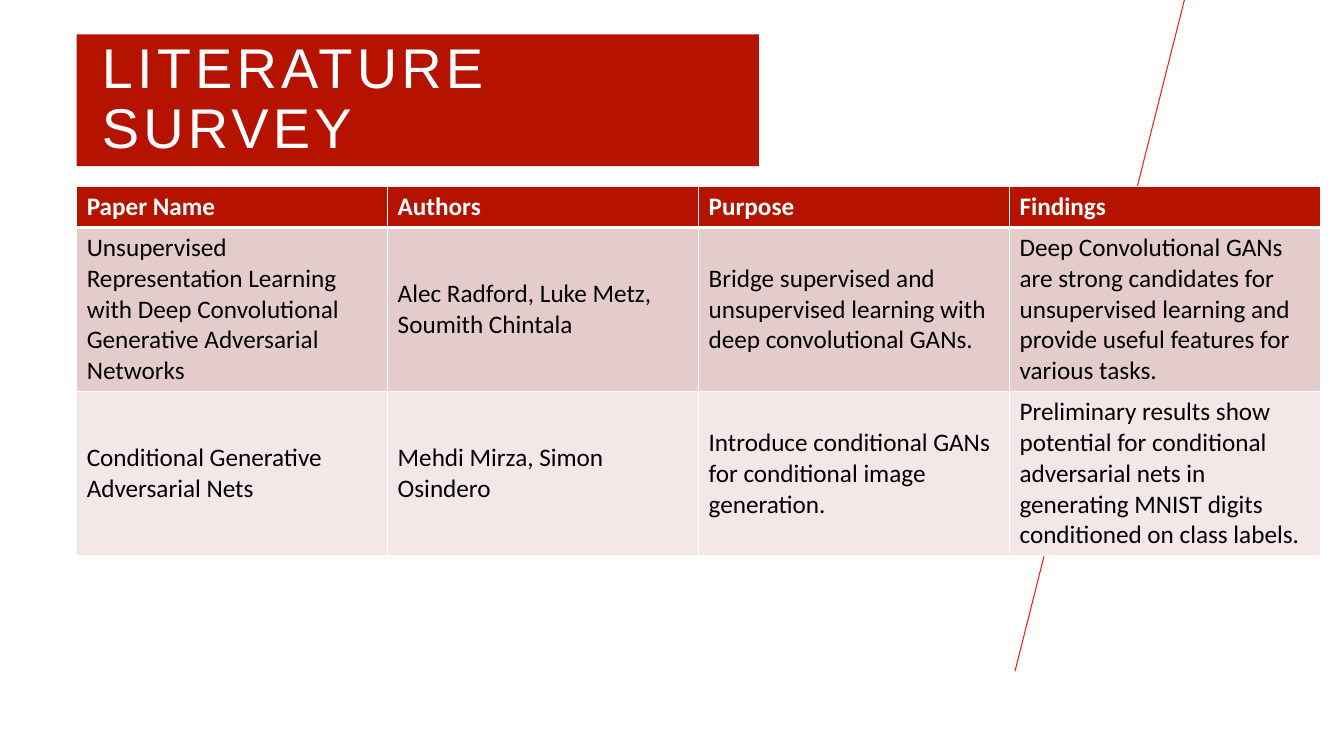
"""Builds the literature survey slide with its table of papers."""
from lxml.etree import SubElement
from pptx import Presentation
from pptx.dml.color import RGBColor
from pptx.enum.shapes import MSO_CONNECTOR, MSO_SHAPE
from pptx.enum.text import MSO_ANCHOR as ANCHOR, PP_ALIGN
from pptx.oxml.ns import qn
from pptx.util import Pt

RED, WHITE, BLACK = "B51200", "FFFFFF", "000000"
PAPERS = [
    ("Paper Name", "Authors", "Purpose", "Findings"),
    ("Unsupervised Representation Learning with Deep Convolutional Generative Adversarial Networks",
     "Alec Radford, Luke Metz, Soumith Chintala",
     "Bridge supervised and unsupervised learning with deep convolutional GANs.",
     "Deep Convolutional GANs are strong candidates for unsupervised learning and "
     "provide useful features for various tasks."),
    ("Conditional Generative Adversarial Nets",
     "Mehdi Mirza, Simon Osindero",
     "Introduce conditional GANs for conditional image generation.",
     "Preliminary results show potential for conditional adversarial nets in "
     "generating MNIST digits conditioned on class labels."),
]
ROW_STYLES = [
    (28.8, RED, WHITE, ANCHOR.BOTTOM),
    (117.2, "E5CCCC", BLACK, ANCHOR.MIDDLE),
    (117.2, "F3E7E7", BLACK, ANCHOR.MIDDLE),
]
LEFT = Pt(54.8)
COLUMN_WIDTH = 222.1


def paint(target, color):
    target.solid()
    target.fore_color.rgb = RGBColor.from_string(color)


def add_border(cell, side, width):
    border = SubElement(cell._tc.get_or_add_tcPr(), qn(f"a:{side}"), w=str(Pt(width)))
    SubElement(SubElement(border, qn("a:solidFill")), qn("a:srgbClr"), val=WHITE)


prs = Presentation()
prs.slide_width, prs.slide_height = Pt(960), Pt(540)
slide = prs.slides.add_slide(prs.slide_layouts[6])

slant = slide.shapes.add_connector(MSO_CONNECTOR.STRAIGHT, Pt(846), Pt(0), Pt(725), Pt(479.5))
paint(slant.line.fill, "FD1B17")
slant.line.width = Pt(0.75)
SubElement(slant._element.spPr, qn("a:effectLst"))

banner = slide.shapes.add_shape(MSO_SHAPE.RECTANGLE, LEFT, Pt(24.5), Pt(487.4), Pt(94.2))
banner.shadow.inherit = False
paint(banner.fill, RED)
banner.line.fill.background()
frame = banner.text_frame
frame.word_wrap = True
frame.vertical_anchor = ANCHOR.MIDDLE
frame.margin_left = Pt(18)
heading = frame.paragraphs[0]
heading.alignment = PP_ALIGN.LEFT
heading.line_spacing = 0.9
run = heading.add_run()
run.text = "LITERATURE SURVEY"
run.font.name = "Arial"
run.font.size = Pt(40)
paint(run.font.fill, WHITE)
run.font._element.set("spc", "300")

survey = slide.shapes.add_table(
    len(PAPERS), len(PAPERS[0]), LEFT, Pt(133.3),
    Pt(COLUMN_WIDTH * len(PAPERS[0])), Pt(sum(style[0] for style in ROW_STYLES))).table
for column in survey.columns:
    column.width = Pt(COLUMN_WIDTH)

for r, (paper, (height, fill, ink, anchor)) in enumerate(zip(PAPERS, ROW_STYLES)):
    survey.rows[r].height = Pt(height)
    for c, text in enumerate(paper):
        cell = survey.cell(r, c)
        add_border(cell, "lnL", 1)
        add_border(cell, "lnR", 1)
        add_border(cell, "lnT", 3 if r == 1 else 1)
        add_border(cell, "lnB", 3 if r == 0 else 1)
        paint(cell.fill, fill)
        cell.vertical_anchor = anchor
        cell.text = text
        font = cell.text_frame.paragraphs[0].font
        font.name, font.size, font.bold = "Calibri", Pt(18), r == 0
        paint(font.fill, ink)

prs.save("out.pptx")
